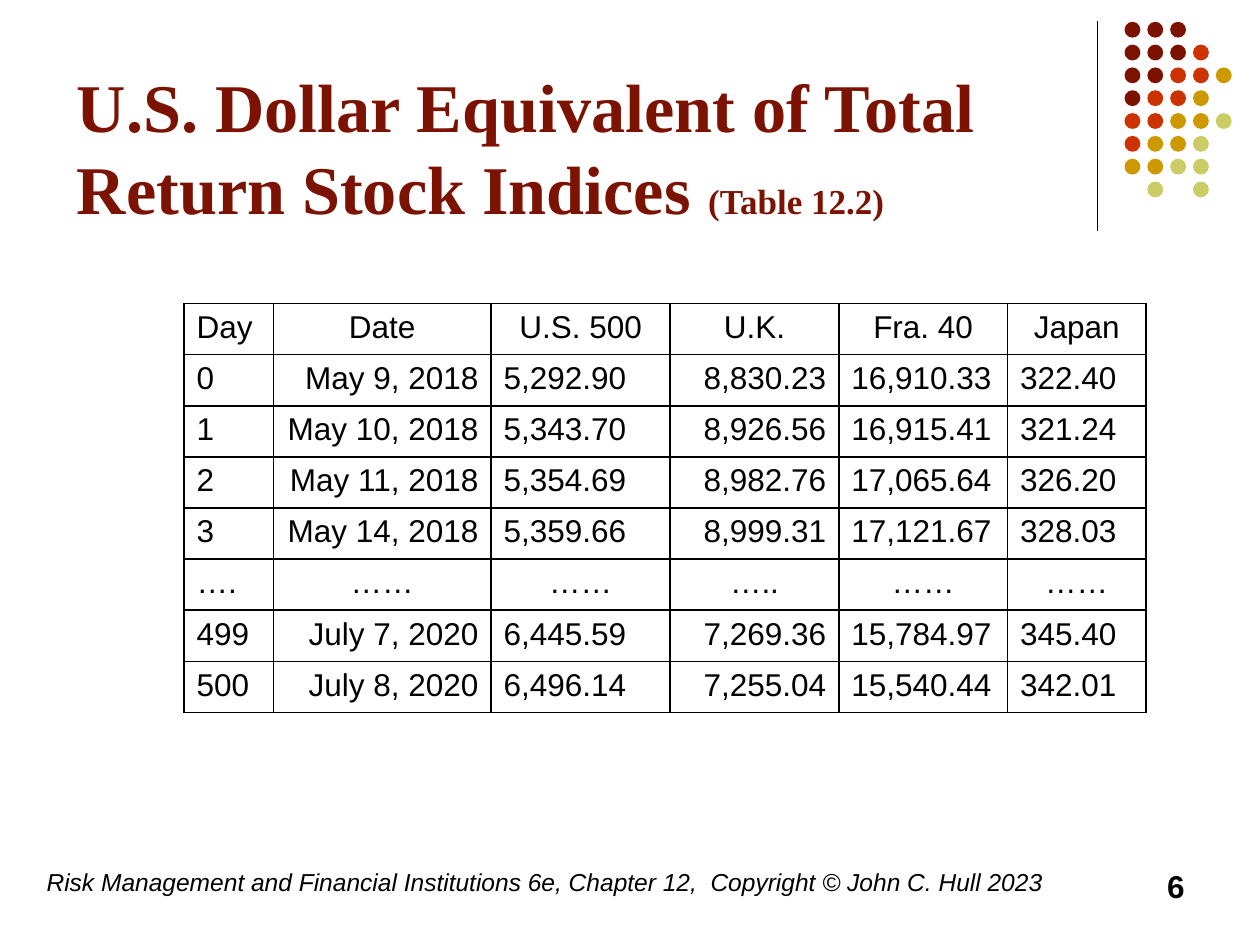
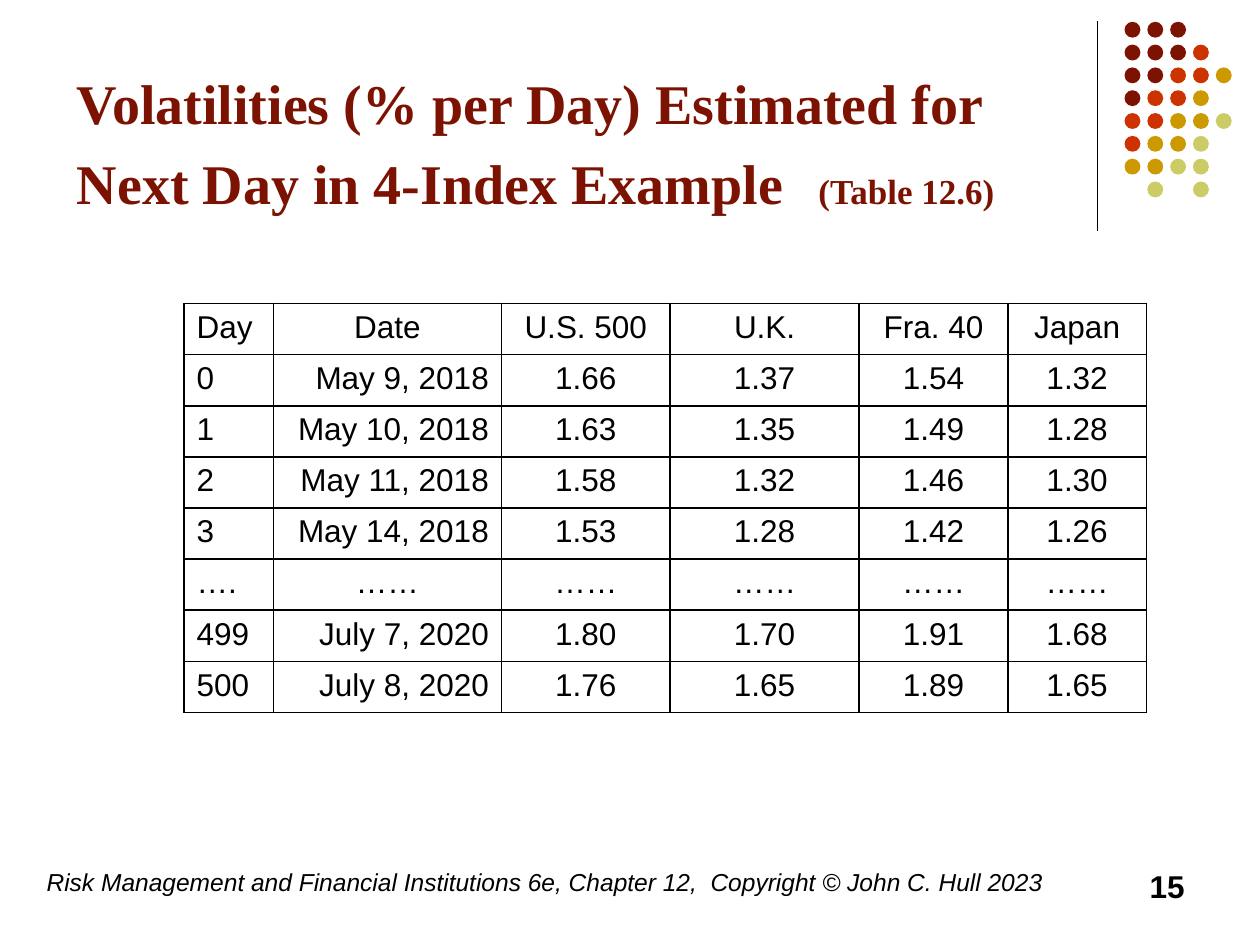
from pptx import Presentation
from pptx.dml.color import RGBColor
from pptx.enum.shapes import MSO_CONNECTOR, MSO_SHAPE
from pptx.enum.text import MSO_ANCHOR, PP_ALIGN
from pptx.oxml import parse_xml
from pptx.oxml.ns import nsdecls
from pptx.util import Cm, Pt

LEFT, MID, RIGHT = PP_ALIGN.LEFT, PP_ALIGN.CENTER, PP_ALIGN.RIGHT
TOP, BOTTOM = MSO_ANCHOR.TOP, MSO_ANCHOR.BOTTOM
OVAL = MSO_SHAPE.OVAL
STRAIGHT = MSO_CONNECTOR.STRAIGHT

BLACK = RGBColor(0x00, 0x00, 0x00)
MAROON = RGBColor(0x7C, 0x13, 0x02)
RED = RGBColor(0xCC, 0x33, 0x00)
GOLD = RGBColor(0xCC, 0x99, 0x00)
LIME = RGBColor(0xCC, 0xCC, 0x66)

SANS, SERIF = "Arial", "Times New Roman"
ALIGN = {"l": LEFT, "c": MID, "r": RIGHT}
TINTS = {"M": MAROON, "R": RED, "G": GOLD, "L": LIME}
DOTS = ["MMM", "MMMR", "MMRRG", "MRRG", "RRGGL", "RGGL", "GGLL", " L L"]

FOOTER = ("Risk Management and Financial Institutions 6e, Chapter 12,  "
          "Copyright © John C. Hull 2023")
HEAD = ["Day", "Date", "U.S. 500", "U.K.", "Fra. 40", "Japan"]
DAYS = [("0", "May 9, 2018"), ("1", "May 10, 2018"), ("2", "May 11, 2018"),
        ("3", "May 14, 2018"), ("….", "……"),
        ("499", "July 7, 2020"), ("500", "July 8, 2020")]
PRICES = ["5,292.90 8,830.23 16,910.33 322.40",
          "5,343.70 8,926.56 16,915.41 321.24",
          "5,354.69 8,982.76 17,065.64 326.20",
          "5,359.66 8,999.31 17,121.67 328.03",
          "…… ….. …… ……",
          "6,445.59 7,269.36 15,784.97 345.40",
          "6,496.14 7,255.04 15,540.44 342.01"]
VOLS = ["1.66 1.37 1.54 1.32",
        "1.63 1.35 1.49 1.28",
        "1.58 1.32 1.46 1.30",
        "1.53 1.28 1.42 1.26",
        "…… …… …… ……",
        "1.80 1.70 1.91 1.68",
        "1.76 1.65 1.89 1.65"]


class Deck:
    def __init__(self):
        self.prs = Presentation()
        self.prs.slide_width, self.prs.slide_height = Cm(25.4), Cm(19.05)
        self.slide = None

    def page(self, number):
        """Start a slide with the shared rule, dots and footer."""
        self.slide = self.prs.slides.add_slide(self.prs.slide_layouts[6])
        self.rule(22.12, 0.43, 4.65)
        for row, line in enumerate(DOTS):
            for col, key in enumerate(line):
                if key in TINTS:
                    self.dot(22.67 + 0.46 * col, 0.44 + 0.46 * row, TINTS[key])
        self.text(0.69, 17.35, 21, 1.27, [(FOOTER, 14)], italic=True)
        self.text(18.21, 17.35, 5.92, 1.27, [(number, 18)], align=RIGHT, bold=True)

    def rule(self, x, top, end):
        line = self.slide.shapes.add_connector(STRAIGHT, Cm(x), Cm(top), Cm(x), Cm(end))
        line.line.color.rgb = BLACK
        line.line.width = Pt(0.75)
        line._element.spPr.append(parse_xml(f"<a:effectLst {nsdecls('a')}/>"))

    def dot(self, x, y, color):
        dot = self.slide.shapes.add_shape(OVAL, Cm(x), Cm(y), Cm(0.32), Cm(0.32))
        dot.shadow.inherit = False
        dot.fill.solid()
        dot.fill.fore_color.rgb = color
        dot.line.fill.background()

    def add_runs(self, para, runs, font=SANS, color=BLACK, align=LEFT,
                 bold=False, italic=False):
        para.alignment = align
        for words, size in runs:
            run = para.add_run()
            run.text = words
            run.font.name, run.font.size = font, Pt(size)
            run.font.bold, run.font.italic = bold, italic
            run.font.color.rgb = color

    def text(self, x, y, width, height, runs, anchor=TOP, tab=None, **style):
        box = self.slide.shapes.add_textbox(Cm(x), Cm(y), Cm(width), Cm(height))
        frame = box.text_frame
        frame.word_wrap = True
        frame.vertical_anchor = anchor
        para = frame.paragraphs[0]
        if tab:
            para._p.get_or_add_pPr().append(parse_xml(
                f"<a:tabLst {nsdecls('a')}>"
                f'<a:tab pos="{Cm(tab)}" algn="l"/></a:tabLst>'))
        self.add_runs(para, runs, **style)

    def title(self, y, runs, tab=None):
        self.text(1.3, y, 20.96, 3.61, runs, BOTTOM, tab,
                  font=SERIF, color=MAROON, bold=True)

    def border(self, cell):
        cell.fill.background()
        props = cell._tc.get_or_add_tcPr()
        for spot, side in enumerate("LRTB"):
            props.insert(spot, parse_xml(
                f'<a:ln{side} {nsdecls("a")} w="{Pt(1)}"><a:solidFill>'
                f'<a:srgbClr val="{BLACK}"/></a:solidFill></a:ln{side}>'))

    def table(self, widths, values, aligns):
        """Draw the day table; aligns holds one letter per body column."""
        rows = [HEAD] + [[*day, *line.split()] for day, line in zip(DAYS, values)]
        frame = self.slide.shapes.add_table(
            len(rows), len(HEAD), Cm(3.71), Cm(6.12),
            Cm(sum(widths)), Cm(1.03 * len(rows)))
        table = frame.table
        table.first_row = table.horz_banding = False
        for col, width in zip(table.columns, widths):
            col.width = Cm(width)
        for r, row in enumerate(rows):
            table.rows[r].height = Cm(1.03)
            plain = r == 0 or row[0] == "…."
            for c, (words, key) in enumerate(zip(row, "lccccc" if plain else aligns)):
                cell = table.cell(r, c)
                self.border(cell)
                self.add_runs(cell.text_frame.paragraphs[0], [(words, 18)],
                              align=ALIGN[key])


def main():
    deck = Deck()

    deck.page("6")
    deck.title(1.12, [("U.S. Dollar Equivalent of Total Return Stock Indices ", 39),
                      ("(Table 12.2)", 20)])
    deck.table([1.8, 4.39, 3.61, 3.4, 3.4, 2.79], PRICES, "lrlrll")

    deck.page("15")
    deck.title(0.91, [("Volatilities (% per Day) Estimated for "
                       "Next Day in 4-Index Example", 32),
                      ("\t", 39), ("(Table 12.6)", 20)], tab=14.95)
    deck.table([1.8, 4.6, 3.4, 3.81, 3, 2.79], VOLS, "lrcccc")

    deck.prs.save("out.pptx")


if __name__ == "__main__":
    main()
